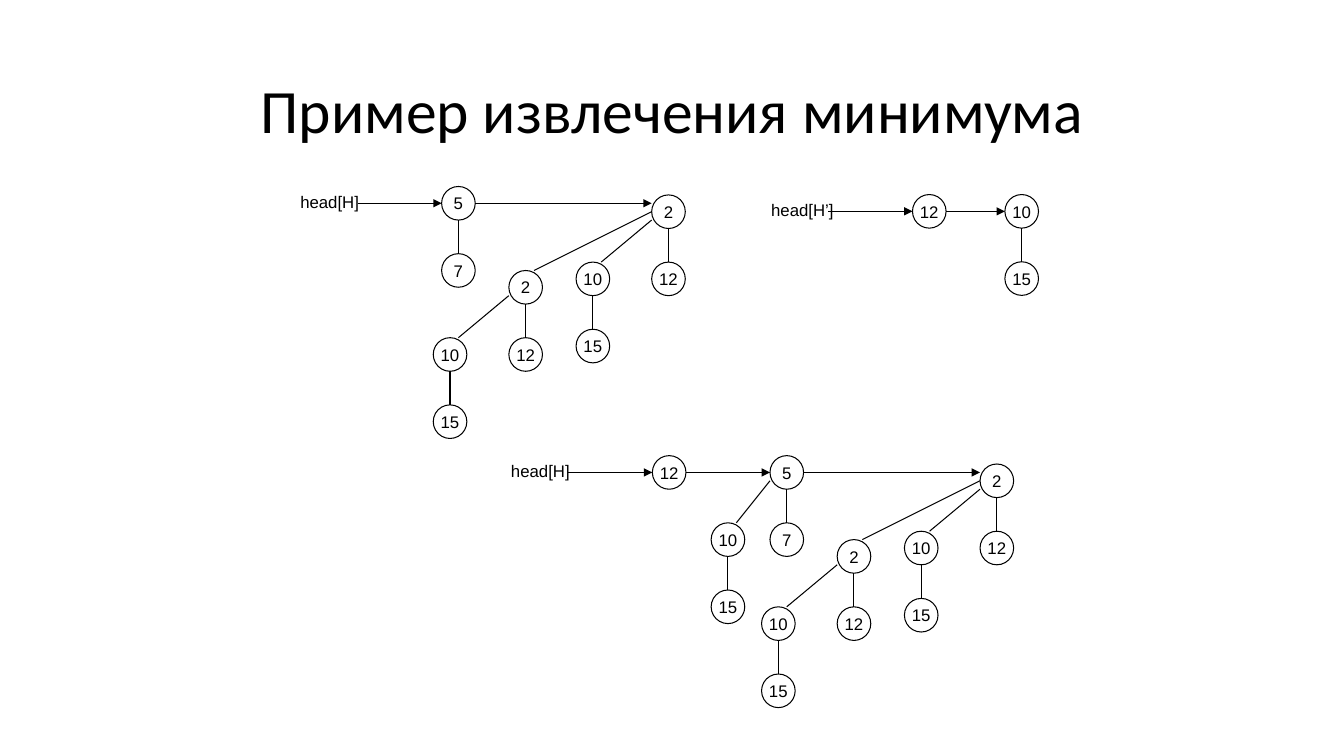
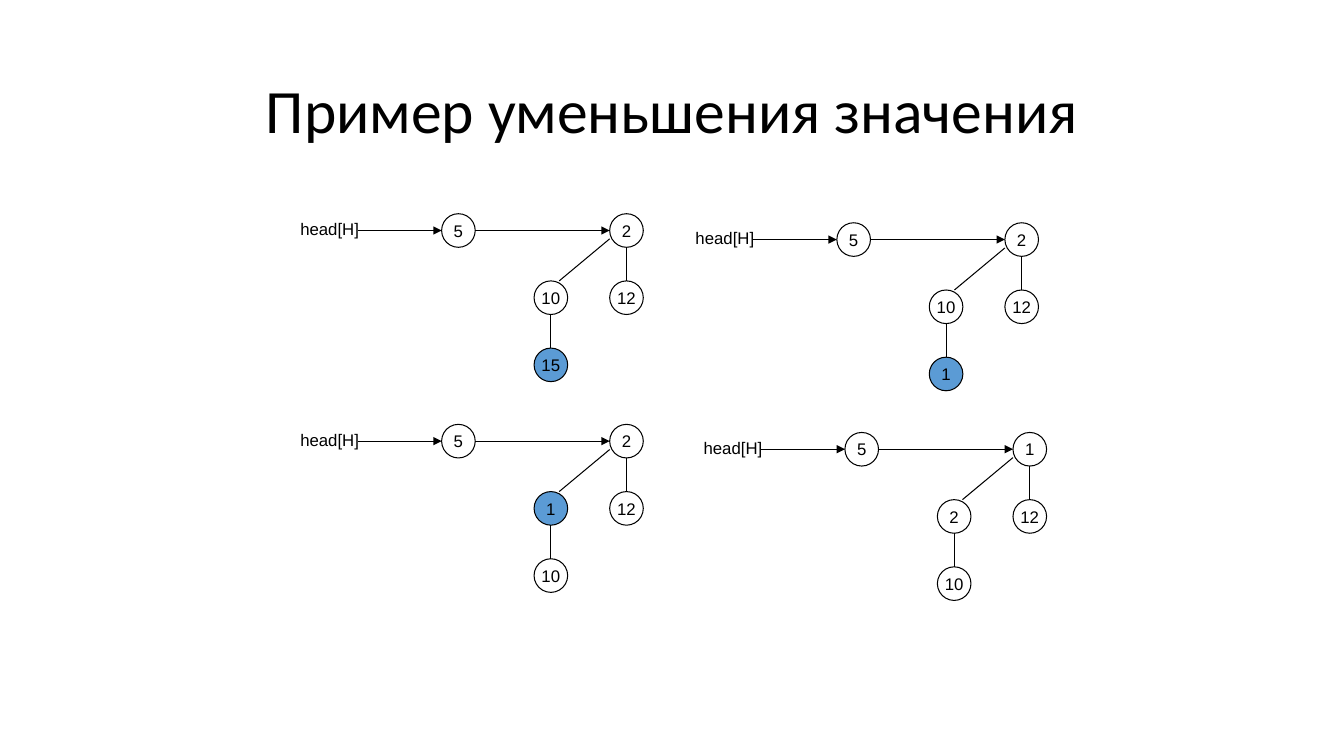
from dataclasses import dataclass

from lxml import etree
from pptx import Presentation
from pptx import util as u
from pptx.dml.color import RGBColor
from pptx.enum import shapes, text
from pptx.oxml.ns import qn

BLACK, BLUE = "000000", "5B9BD5"
GRID = 12  # grid steps per inch
D = 4      # node diameter in steps
LEVEL = 8  # drop from a parent to its child in steps


@dataclass
class Node:
    value: str
    dx: int = 0  # steps from the parent, or from the head label for a root
    dy: int = LEVEL
    kids: tuple = ()
    fill: str = ""


def rgb(code):
    return RGBColor.from_string(code)


def grid(steps):
    return u.Inches(steps / GRID)


def add_run(p, words, size, font):
    r = p.add_run()
    r.text = words
    r.font.size, r.font.name = u.Pt(size), font
    r.font.color.rgb = rgb(BLACK)


def add_title(s, words):
    sp = s.shapes.title
    sp.left, sp.top = u.Inches(0.92), u.Inches(0.4)
    sp.width, sp.height = u.Inches(11.5), u.Inches(1.45)
    tf = sp.text_frame
    tf.vertical_anchor = text.MSO_ANCHOR.MIDDLE
    p = tf.paragraphs[0]
    p.alignment, p.line_spacing = text.PP_ALIGN.CENTER, 0.9
    add_run(p, words, 44, "Calibri")


def add_line(s, x1, y1, x2, y2, arrow=False):
    sp = s.shapes.add_connector(shapes.MSO_CONNECTOR.STRAIGHT,
                                grid(x1), grid(y1), grid(x2), grid(y2))
    sp.line.color.rgb, sp.line.width = rgb(BLACK), u.Pt(0.75)
    props = sp._element.spPr
    if arrow:
        etree.SubElement(props.find(qn("a:ln")), qn("a:tailEnd"), type="triangle")
    etree.SubElement(props, qn("a:effectLst"))


def add_circle(s, node, x, y):
    sp = s.shapes.add_shape(shapes.MSO_SHAPE.OVAL, grid(x), grid(y), grid(D), grid(D))
    sp.shadow.inherit = False
    sp.line.color.rgb, sp.line.width = rgb(BLACK), u.Pt(0.75)
    if node.fill:
        sp.fill.solid()
        sp.fill.fore_color.rgb = rgb(node.fill)
    else:
        sp.fill.background()
    tf = sp.text_frame
    tf.word_wrap, tf.vertical_anchor = False, text.MSO_ANCHOR.MIDDLE
    p = tf.paragraphs[0]
    p.alignment = text.PP_ALIGN.CENTER
    add_run(p, node.value, 12, "Arial")


def add_tree(s, node, x, y):
    add_circle(s, node, x, y)
    for kid in node.kids:
        kx, ky = x + kid.dx, y + kid.dy
        if kid.dx == 0:
            add_line(s, x + D / 2, y + D, kx + D / 2, ky)
        else:
            # far children join higher on the parent's left side
            join = 2 if kid.dy > LEVEL else 3
            add_line(s, kx + 3, ky, x, y + join)
        add_tree(s, kid, kx, ky)


def add_heap(s, left, top, roots, label="head[H]"):
    # Head label
    sp = s.shapes.add_textbox(u.Inches(left), u.Inches(top),
                              u.Inches(0.83), u.Inches(0.3))
    tf = sp.text_frame
    tf.word_wrap, tf.auto_size = True, text.MSO_AUTO_SIZE.SHAPE_TO_FIT_TEXT
    add_run(tf.paragraphs[0], label, 12, "Arial")
    # Root list, each root with its tree
    x, y = left * GRID, top * GRID
    start = x + 8
    for root in roots:
        rx = x + root.dx
        add_line(s, start, y + D / 2, rx, y + D / 2, arrow=True)
        add_tree(s, root, rx, y + root.dy)
        start = rx + D


def chain(top, bottom, dx=-9, top_fill="", bottom_fill=""):
    return Node(top, dx, kids=(Node(bottom, fill=bottom_fill),), fill=top_fill)


def extract_min_slide(prs):
    s = prs.slides.add_slide(prs.slide_layouts[5])
    add_title(s, "Пример извлечения минимума")
    inner = Node("2", -17, LEVEL + 1, (chain("10", "15"), Node("12")))
    big = (inner, chain("10", "15"), Node("12"))
    # Remaining heap, heap of the removed root's children, merged heap
    add_heap(s, 2.88, 1.85, [Node("5", 18, 0, (Node("7"),)), Node("2", 43, 1, big)])
    add_heap(s, 7.55, 1.93, [Node("12", 18, 0), Node("10", 29, 0, (Node("15"),))],
             "head[H’]")
    add_heap(s, 4.97, 4.52, [Node("12", 18, 0),
                             Node("5", 32, 0, (chain("10", "15", -7), Node("7"))),
                             Node("2", 57, 1, big)])


def decrease_key_slide(prs):
    s = prs.slides.add_slide(prs.slide_layouts[5])
    add_title(s, "Пример уменьшения значения")
    # The changed key rises one level per step
    steps = [(2.88, 2.12, "2", chain("10", "15", bottom_fill=BLUE)),
             (6.8, 2.21, "2", chain("10", "1", bottom_fill=BLUE)),
             (2.88, 4.21, "2", chain("1", "10", top_fill=BLUE)),
             (6.88, 4.29, "1", chain("2", "10"))]
    for left, top, root, branch in steps:
        add_heap(s, left, top, [Node("5", 18, 0),
                                Node(root, 38, 0, (branch, Node("12")))])


prs = Presentation()
prs.slide_width, prs.slide_height = u.Inches(13.33), u.Inches(7.5)
extract_min_slide(prs)
decrease_key_slide(prs)
prs.save("out.pptx")
